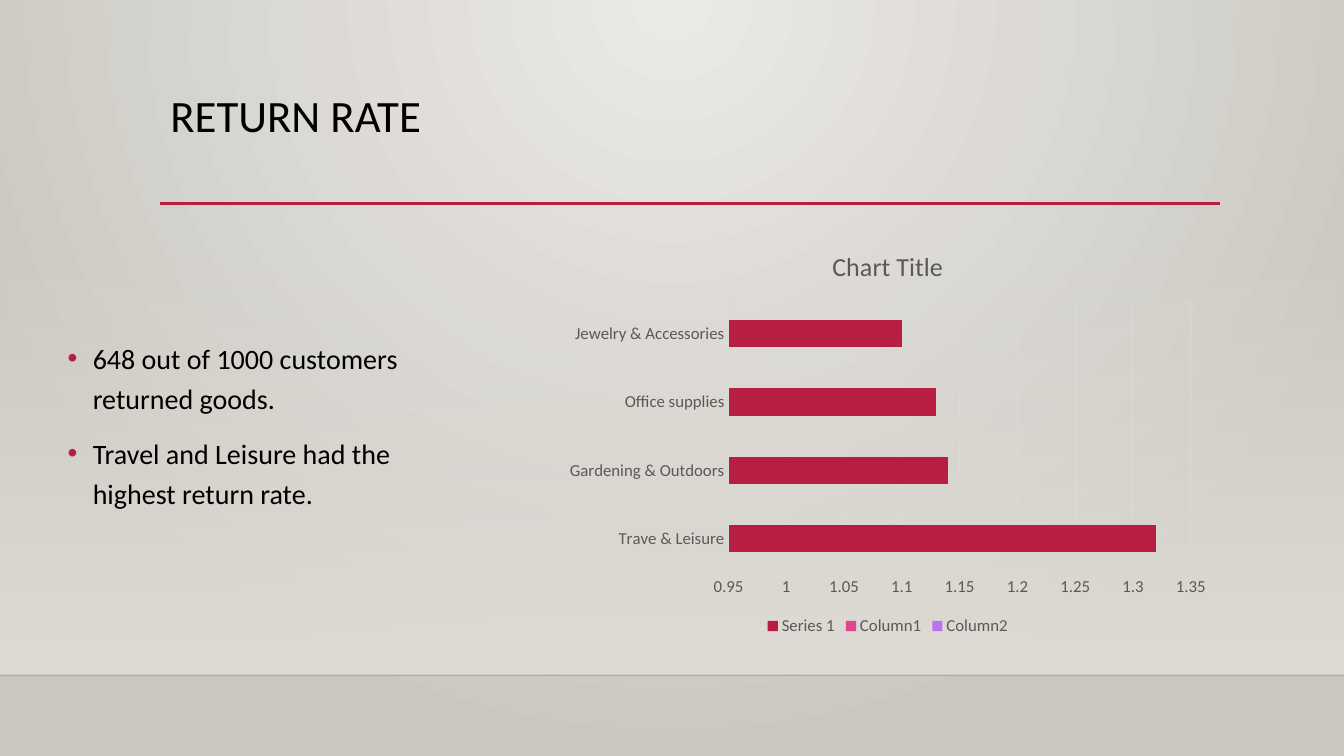
import pptx
import pptx.chart.data
import pptx.dml.color
import pptx.enum.chart
import pptx.enum.shapes
import pptx.enum.text
import pptx.oxml
import pptx.oxml.ns
import pptx.util
from pptx.util import Inches, Pt

# Content
TITLE = "RETURN RATE"
BULLETS = ["648 out of 1000 customers returned goods.",
           "Travel and Leisure had the highest return rate."]
CHART_TITLE = "Chart Title"
CATEGORIES = ["Trave & Leisure", "Gardening & Outdoors",
              "Office supplies", "Jewelry & Accessories"]
SERIES = [("Series 1", [1.32, 1.14, 1.13, 1.1]),
          ("Column1", [None] * 4),
          ("Column2", [None] * 4)]

# Theme and layout
THEME = {
    "font": "Calibri",
    "text": "000000", "muted": "595959", "grid": "D9D9D9",
    "accent": "B71E42", "shelf": "000001", "wall": "DFDBD5",
    "bg": ("ECEAE7", "CAC7C1"),
    "series": ["B71E42", "DE478E", "BC72F0"],
    "title_size": 32, "body_size": 20, "chart_title_size": 18.6, "label_size": 12,
}
WIDTH, HEIGHT = 13.33, 7.5
WALL_TOP, SHELF_Y = 2.21, 6.7
TITLE_BOX = (1.59, 0.88, 10.5, 1.15)
BODY_BOX = (0.57, 3.27, 3.58, 2.46)
CHART_BOX = (5.52, 2.28, 6.57, 4.07)
RULES = [  # left, right, y, colour, width, opacity in percent
    (0, WIDTH, SHELF_Y, THEME["shelf"], 1, 20),
    (1.59, 12.1, 2.02, THEME["accent"], 2.5, 100),
]
NS = pptx.oxml.ns.nsdecls("a")


def rgb(value):
    return pptx.dml.color.RGBColor.from_string(value)


def set_attrs(obj, values):
    for name, value in values.items():
        setattr(obj, name, value)


def set_font(font, size, color):
    set_attrs(font, {"name": THEME["font"], "size": Pt(size), "bold": False})
    font.color.rgb = rgb(color)


def set_line(line, color, width):
    line.color.rgb = rgb(color)
    line.width = Pt(width)


def place(sp, box):
    set_attrs(sp, dict(zip(("left", "top", "width", "height"), map(Inches, box))))


def set_gradient(fill, stops, direction):
    """Stops are (position, colour, opacity); direction is the closing XML."""
    fill.gradient()
    grad = fill._fill._gradFill
    for child in list(grad):
        grad.remove(child)
    gs = "".join(f'<a:gs pos="{pos * 1000}"><a:srgbClr val="{color}">'
                 f'<a:alpha val="{alpha * 1000}"/></a:srgbClr></a:gs>'
                 for pos, color, alpha in stops)
    grad.append(pptx.oxml.parse_xml(f"<a:gsLst {NS}>{gs}</a:gsLst>"))
    grad.append(pptx.oxml.parse_xml(direction))


def set_text(sp, lines, size, paragraph_format):
    tf = sp.text_frame
    set_attrs(tf, {"word_wrap": True,
                   "auto_size": pptx.enum.text.MSO_AUTO_SIZE.NONE,
                   "vertical_anchor": pptx.enum.text.MSO_ANCHOR.TOP})
    for i, line in enumerate(lines):
        p = tf.paragraphs[0] if i == 0 else tf.add_paragraph()
        set_attrs(p, {"alignment": pptx.enum.text.PP_ALIGN.LEFT, **paragraph_format})
        r = p.add_run()
        r.text = line
        set_font(r.font, size, THEME["text"])


def add_bullet(p):
    pPr = p._p.get_or_add_pPr()
    pPr.set("marL", str(Inches(0.25)))
    pPr.set("indent", str(-Inches(0.25)))
    for xml in (f'<a:buClr {NS}><a:srgbClr val="{THEME["accent"]}"/></a:buClr>',
                f'<a:buFont {NS} typeface="Arial"/>',
                f'<a:buChar {NS} char="•"/>'):
        pPr.append(pptx.oxml.parse_xml(xml))


def add_backdrop(slide):
    inner, outer = THEME["bg"]
    set_gradient(slide.background.fill, [(0, inner, 100), (100, outer, 100)],
                 f'<a:path {NS} path="circle">'
                 '<a:fillToRect l="43000" t="0" r="43000" b="100000"/></a:path>')
    wall = slide.shapes.add_shape(
        pptx.enum.shapes.MSO_SHAPE.RECTANGLE,
        *map(Inches, (0, WALL_TOP, WIDTH, SHELF_Y - WALL_TOP)))
    wall.shadow.inherit = False
    wall.line.fill.background()
    set_gradient(wall.fill, [(0, THEME["wall"], 0), (100, THEME["wall"], 100)],
                 f'<a:lin {NS} ang="5400000" scaled="0"/>')
    for left, right, y, color, width, opacity in RULES:
        rule = slide.shapes.add_connector(
            pptx.enum.shapes.MSO_CONNECTOR.STRAIGHT, *map(Inches, (left, y, right, y)))
        set_line(rule.line, color, width)
        rule._element.spPr.append(pptx.oxml.parse_xml(f"<a:effectLst {NS}/>"))
        if opacity < 100:
            clr = rule._element.spPr.find(".//" + pptx.oxml.ns.qn("a:srgbClr"))
            clr.append(pptx.oxml.parse_xml(f'<a:alpha {NS} val="{opacity * 1000}"/>'))


def add_return_chart(slide):
    data = pptx.chart.data.CategoryChartData()
    data.categories = CATEGORIES
    for name, values in SERIES:
        data.add_series(name, values)
    chart = slide.shapes.add_chart(
        pptx.enum.chart.XL_CHART_TYPE.BAR_STACKED, *map(Inches, CHART_BOX), data).chart
    set_font(chart.font, THEME["label_size"], THEME["muted"])

    # Title and legend
    chart.has_title = True
    tf = chart.chart_title.text_frame
    tf.text = CHART_TITLE
    set_font(tf.paragraphs[0].runs[0].font, THEME["chart_title_size"], THEME["muted"])
    chart.chart_title.include_in_layout = False
    chart.has_legend = True
    set_attrs(chart.legend, {"position": pptx.enum.chart.XL_LEGEND_POSITION.BOTTOM,
                             "include_in_layout": False})

    # Bars
    plot = chart.plots[0]
    set_attrs(plot, {"gap_width": 150, "overlap": 100, "vary_by_categories": False})
    for series, color in zip(plot.series, THEME["series"]):
        series.format.fill.solid()
        series.format.fill.fore_color.rgb = rgb(color)

    # Axes
    cat_axis, val_axis = chart.category_axis, chart.value_axis
    for axis in (cat_axis, val_axis):
        set_attrs(axis, {"major_tick_mark": pptx.enum.chart.XL_TICK_MARK.NONE,
                         "minor_tick_mark": pptx.enum.chart.XL_TICK_MARK.NONE})
        set_font(axis.tick_labels.font, THEME["label_size"], THEME["muted"])
    set_line(cat_axis.format.line, THEME["grid"], 0.75)
    set_attrs(val_axis, {"minimum_scale": 0.95, "maximum_scale": 1.35,
                         "major_unit": 0.05, "has_major_gridlines": True})
    val_axis.format.line.fill.background()
    set_line(val_axis.major_gridlines.format.line, THEME["grid"], 0.75)


def main():
    prs = pptx.Presentation()
    prs.slide_width, prs.slide_height = Inches(WIDTH), Inches(HEIGHT)
    slide = prs.slides.add_slide(prs.slide_layouts[1])
    add_backdrop(slide)

    # Title and bullets
    title, body = slide.shapes.title, slide.placeholders[1]
    place(title, TITLE_BOX)
    set_text(title, [TITLE], THEME["title_size"], {"line_spacing": 0.9})
    place(body, BODY_BOX)
    set_text(body, BULLETS, THEME["body_size"],
             {"line_spacing": 1.2, "space_before": Pt(10)})
    for p in body.text_frame.paragraphs:
        add_bullet(p)
    for sp in (title, body):
        slide.shapes._spTree.append(sp._element)  # bring text above the backdrop

    add_return_chart(slide)
    prs.save("out.pptx")


if __name__ == "__main__":
    main()
